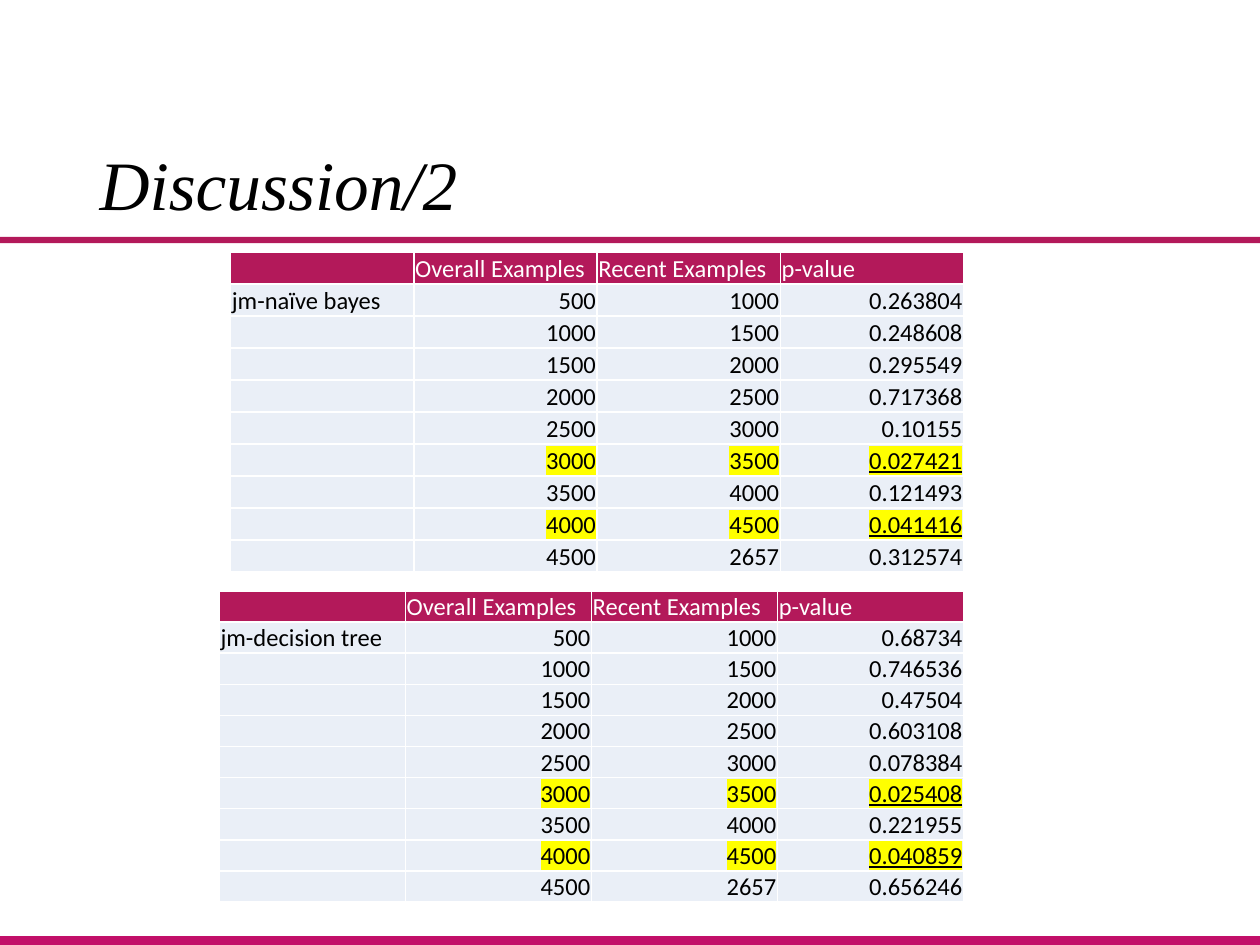
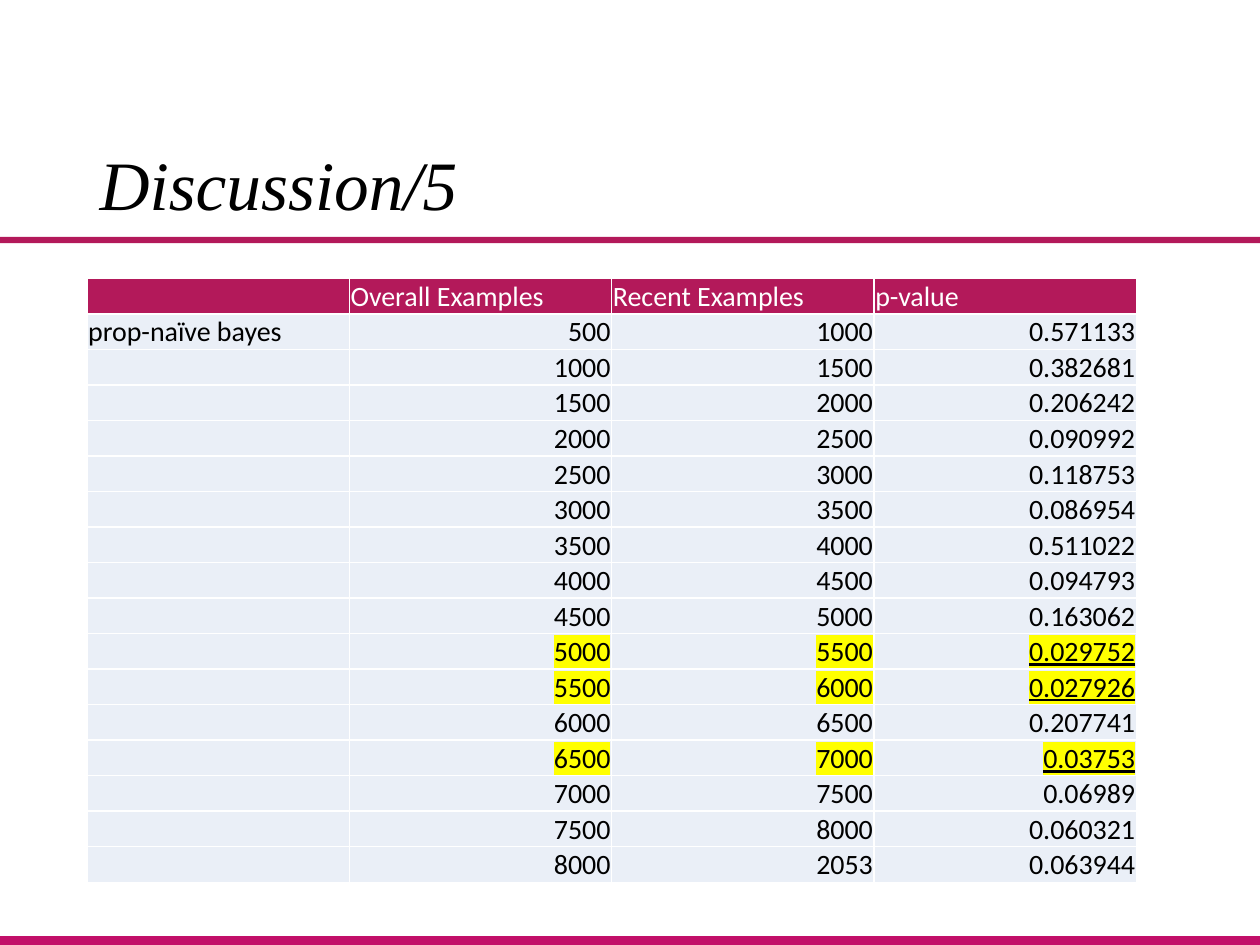
from dataclasses import dataclass

from lxml import etree
from pptx import Presentation, util as u
from pptx.dml.color import RGBColor
from pptx.enum import shapes, text
from pptx.oxml.ns import qn


@dataclass(frozen=True)
class Theme:
    """Colours, fonts and sizes that the slides share."""
    rule: str = "B3195A"
    foot: str = "C21069"
    cell: str = "EAEFF7"
    white: str = "FFFFFF"
    black: str = "000000"
    mark: str = "FFFF00"
    serif: str = "Times New Roman"
    sans: str = "Calibri"
    title: float = 39.6
    small: int = 14
    large: int = 16


T = Theme()
HEADS = ("", "Overall Examples", "Recent Examples", "p-value")
STEP = 500
LIMIT = 0.05

JM_BAYES = ("0.263804 0.248608 0.295549 0.717368 0.10155 "
            "0.027421 0.121493 0.041416 0.312574").split()
JM_TREE = ("0.68734 0.746536 0.47504 0.603108 0.078384 "
           "0.025408 0.221955 0.040859 0.656246").split()
PROP_BAYES = ("0.571133 0.382681 0.206242 0.090992 0.118753 0.086954 "
              "0.511022 0.094793 0.163062 0.029752 0.027926 0.207741 "
              "0.03753 0.06989 0.060321 0.063944").split()


def rgb(code):
    """Turn a hex code into a colour."""
    return RGBColor.from_string(code)


def add_fill(node, code):
    """Append a solid fill to an XML node."""
    fill = etree.SubElement(node, qn("a:solidFill"))
    etree.SubElement(fill, qn("a:srgbClr"), val=code)


def write(frame, words, size, color=T.black, face=T.sans, italic=None,
          under=None, mark=None, align=text.PP_ALIGN.LEFT, space=None):
    """Write one formatted paragraph into a text frame."""
    para = frame.paragraphs[0]
    para.alignment = align
    para.line_spacing = space
    if not words:
        etree.SubElement(para._p, qn("a:endParaRPr"), sz=str(size * 100))
        return
    run = para.add_run()
    run.text = words
    font = run.font
    font.size, font.name = u.Pt(size), face
    font.italic, font.underline = italic, under
    font.color.rgb = rgb(color)
    if mark:
        glow = etree.Element(qn("a:highlight"))
        etree.SubElement(glow, qn("a:srgbClr"), val=mark)
        run._r.rPr.find(qn("a:solidFill")).addnext(glow)


def add_band(slide, layout, top, height, color):
    """Draw a full-width band and move it to the layout."""
    band = slide.shapes.add_shape(
        shapes.MSO_SHAPE.RECTANGLE, u.Inches(-0.01), u.Inches(top),
        u.Inches(10.01), u.Inches(height))
    band.shadow.inherit = False
    band.fill.solid()
    band.fill.fore_color.rgb = rgb(color)
    band.line.fill.background()
    band.element.nvSpPr.cNvPr.set("id", str(100 + len(layout.shapes)))
    layout.shapes.element.append(band.element)


def add_slide(deck, layout, title):
    """Add a slide with its styled title."""
    slide = deck.slides.add_slide(layout)
    head = slide.shapes.title
    head.left, head.top = u.Inches(0.69), u.Inches(1.13)
    head.width, head.height = u.Inches(8.62), u.Inches(0.72)
    frame = head.text_frame
    frame.auto_size = text.MSO_AUTO_SIZE.NONE
    frame.vertical_anchor = text.MSO_ANCHOR.MIDDLE
    write(frame, title, T.title, face=T.serif, italic=True, space=0.9)
    return slide


def style_cell(cell, color):
    """Set the margins, white borders and fill of a cell."""
    cell.margin_left = cell.margin_right = cell.margin_top = u.Inches(0.01)
    cell.margin_bottom = 0
    cell.vertical_anchor = text.MSO_ANCHOR.BOTTOM
    props = cell._tc.get_or_add_tcPr()
    for side in "LRTB":
        edge = etree.SubElement(props, qn("a:ln" + side), w=str(u.Pt(1)))
        add_fill(edge, T.white)
    cell.fill.solid()
    cell.fill.fore_color.rgb = rgb(color)


def make_rows(name, scores, last):
    """List the body rows; the last recent count is given."""
    rows = []
    for i, score in enumerate(scores, 1):
        recent = last if i == len(scores) else (i + 1) * STEP
        rows.append((name if i == 1 else "", str(i * STEP), str(recent),
                     score))
    return rows


def add_scores(slide, left, top, width, height, size, rows):
    """Add a table of p-values and mark the significant rows."""
    table = slide.shapes.add_table(
        len(rows) + 1, len(HEADS), u.Inches(left), u.Inches(top),
        u.Inches(width), u.Inches(height)).table
    table.horz_banding = False
    for row in table.rows:
        row.height = u.Inches(height / (len(rows) + 1))
    for c, words in enumerate(HEADS):
        cell = table.cell(0, c)
        style_cell(cell, T.rule)
        write(cell.text_frame, words, size, color=T.white)
    for r, row in enumerate(rows, 1):
        hit = float(row[-1]) < LIMIT
        for c, words in enumerate(row):
            cell = table.cell(r, c)
            style_cell(cell, T.cell)
            write(cell.text_frame, words, size,
                  mark=T.mark if hit else None,
                  under=True if hit and c == len(row) - 1 else None,
                  align=text.PP_ALIGN.RIGHT if c else text.PP_ALIGN.LEFT)


def main():
    """Build and save the deck."""
    deck = Presentation()
    deck.slide_width, deck.slide_height = u.Inches(10), u.Inches(7.5)
    layout = deck.slide_layouts[5]

    slide = add_slide(deck, layout, "Discussion/2")
    add_band(slide, layout, 7.43, 0.07, T.foot)
    add_band(slide, layout, 1.88, 0.05, T.rule)
    add_scores(slide, 1.74, 4.69, 5.91, 2.43, T.small,
               make_rows("jm-decision tree", JM_TREE, 2657))
    add_scores(slide, 1.83, 2, 5.82, 2.54, T.small,
               make_rows("jm-naïve bayes", JM_BAYES, 2657))

    slide = add_slide(deck, layout, "Discussion/5")
    add_scores(slide, 0.69, 2.21, 8.33, 4.71, T.large,
               make_rows("prop-naïve bayes", PROP_BAYES, 2053))
    deck.save("out.pptx")


main()
